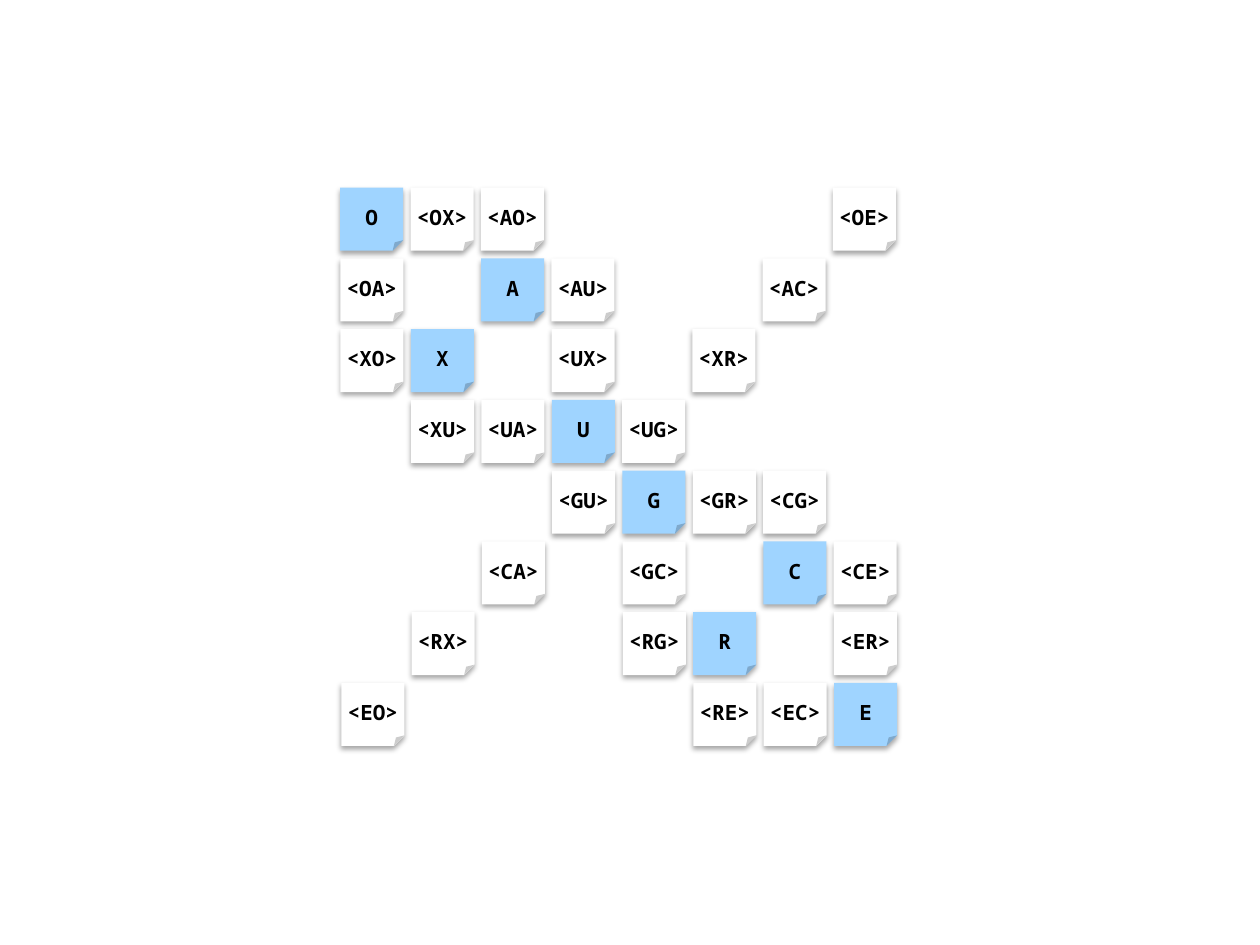
from lxml import etree
from pptx import Presentation
from pptx.dml.color import RGBColor
from pptx.enum.shapes import MSO_SHAPE
from pptx.enum.text import MSO_ANCHOR, PP_ALIGN
from pptx.oxml.ns import qn
from pptx.util import Pt

# Content: one list per grid row, empty strings are gaps
GRID = [
    ["O", "<OX>", "<AO>", "", "", "", "", "<OE>"],
    ["<OA>", "", "A", "<AU>", "", "", "<AC>", ""],
    ["<XO>", "X", "", "<UX>", "", "<XR>", "", ""],
    ["", "<XU>", "<UA>", "U", "<UG>", "", "", ""],
    ["", "", "", "<GU>", "G", "<GR>", "<CG>", ""],
    ["", "", "<CA>", "", "<GC>", "", "C", "<CE>"],
    ["", "<RX>", "", "", "<RG>", "R", "", "<ER>"],
    ["<EO>", "", "", "", "", "<RE>", "<EC>", "E"],
]

# Format
NOTE = MSO_SHAPE.FOLDED_CORNER
MIDDLE = MSO_ANCHOR.MIDDLE
CENTER = PP_ALIGN.CENTER
WHITE = RGBColor(0xFF, 0xFF, 0xFF)
BLUE = RGBColor(0x9F, 0xD4, 0xFF)
BLACK = RGBColor(0, 0, 0)
FONT = {"name": "Noto Sans Mono", "size": Pt(12), "bold": True}
FRAME = {
    "margin_left": 0, "margin_top": Pt(3.6), "margin_right": 0,
    "margin_bottom": 0, "vertical_anchor": MIDDLE, "word_wrap": True,
}
SHADOW = {
    "blurRad": Pt(3.1), "dist": Pt(1.8), "dir": 90 * 60000,
    "algn": "ctr", "rotWithShape": 0,
}
SHADOW_OPACITY = 35

# Grid in points; each row is shifted slightly to the right
LEFT, TOP = 194.4, 107.3
COLUMN_STEP, ROW_STEP, ROW_SHIFT = 40.22, 40.42, 0.1
NOTE_SIZE = 36


def set_all(target, values):
    for name, value in values.items():
        setattr(target, name, value)


def add_shadow(shape):
    shape.shadow.inherit = False
    effects = shape._element.spPr.find(qn("a:effectLst"))
    outer = etree.SubElement(effects, qn("a:outerShdw"))
    for name, value in SHADOW.items():
        outer.set(name, str(value))
    color = etree.SubElement(outer, qn("a:srgbClr"), val=str(BLACK))
    etree.SubElement(color, qn("a:alpha"), val=str(SHADOW_OPACITY * 1000))


def add_note(slide, row, column, label, fill):
    left = LEFT + column * COLUMN_STEP + row * ROW_SHIFT
    top = TOP + row * ROW_STEP
    shape = slide.shapes.add_shape(
        NOTE, Pt(left), Pt(top), Pt(NOTE_SIZE), Pt(NOTE_SIZE))
    shape.fill.solid()
    shape.fill.fore_color.rgb = fill
    shape.line.fill.background()
    add_shadow(shape)
    set_all(shape.text_frame, FRAME)
    paragraph = shape.text_frame.paragraphs[0]
    paragraph.alignment = CENTER
    run = paragraph.add_run()
    run.text = label
    set_all(run.font, FONT)
    run.font.color.rgb = BLACK


def main():
    presentation = Presentation()
    presentation.slide_width, presentation.slide_height = Pt(720), Pt(540)
    slide = presentation.slides.add_slide(presentation.slide_layouts[6])

    # White pair notes first, then the blue single letters above them
    notes = [(row, column, label) for row, labels in enumerate(GRID)
             for column, label in enumerate(labels) if label]
    for is_single, fill in ((False, WHITE), (True, BLUE)):
        for row, column, label in notes:
            if (len(label) == 1) == is_single:
                add_note(slide, row, column, label, fill)

    presentation.save("out.pptx")


if __name__ == "__main__":
    main()
